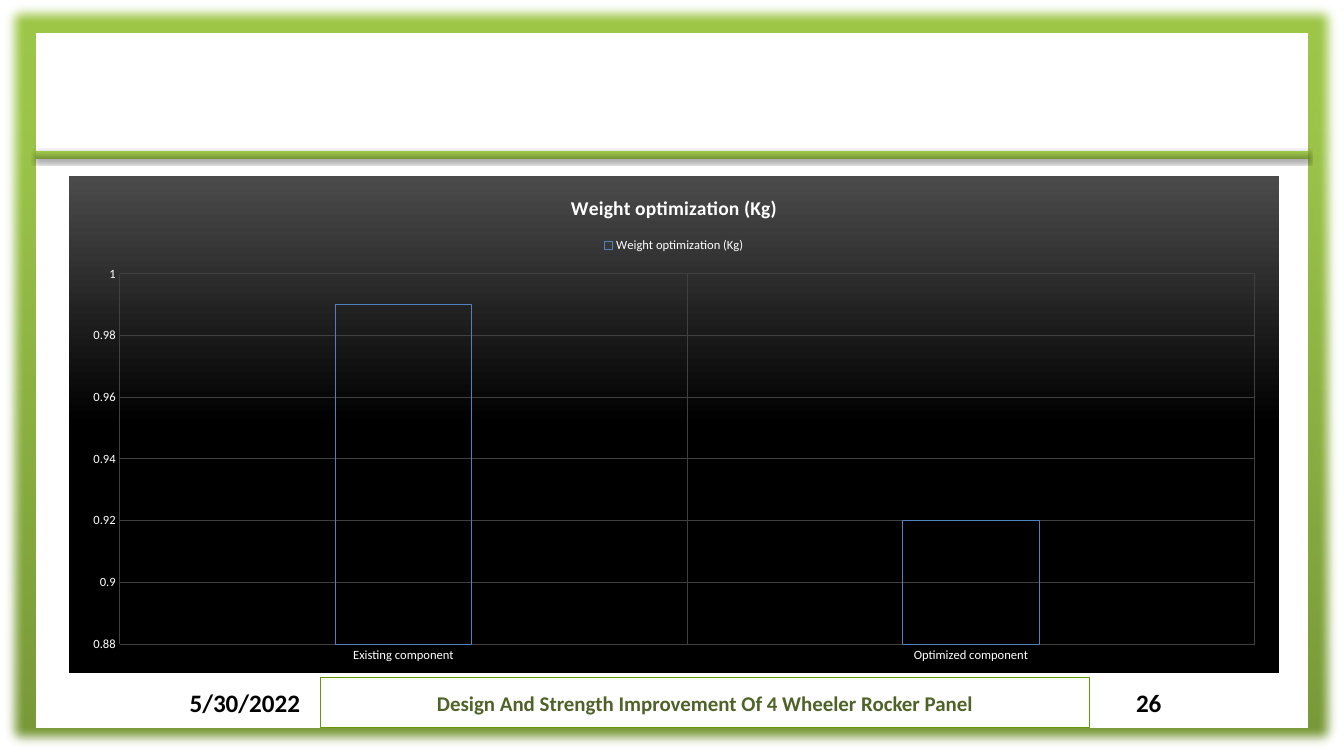
from dataclasses import dataclass

from pptx import Presentation
from pptx.chart.data import CategoryChartData
from pptx.dml.color import RGBColor
from pptx.enum.chart import XL_CHART_TYPE as ChartType
from pptx.enum.chart import XL_LEGEND_POSITION as LegendPosition
from pptx.enum.chart import XL_TICK_MARK as TickMark
from pptx.enum.shapes import MSO_SHAPE as Preset
from pptx.enum.text import MSO_ANCHOR as Anchor
from pptx.enum.text import PP_ALIGN as Align
from pptx.oxml import parse_xml
from pptx.oxml.ns import nsdecls, qn
from pptx.util import Inches, Pt


@dataclass(frozen=True)
class Theme:
    font: str = "Calibri"
    white: str = "FFFFFF"
    black: str = "000000"
    olive: str = "4F6228"
    border: str = "669900"
    bar: str = "4F81BD"
    grid: str = "404040"
    green_fade: tuple = ((0, "779737"), (80, "9BC348"), (100, "9DC746"))
    dark_fade: tuple = ((0, "4B4B4B"), (50, "000000"), (100, "000000"))
    heading: float = 14
    axis: float = 9
    chart: float = 10
    footer: float = 15
    stamp: float = 18
    hairline: float = 0.75


THEME = Theme()
WIDTH, HEIGHT = Inches(13.39), Inches(7.5)
SOFT_EDGE = '<a:softEdge %s rad="127000"/>' % nsdecls("a")
SHADOW = (
    '<a:outerShdw %s blurRad="40000" dist="23000" dir="5400000" rotWithShape="0">'
    '<a:srgbClr val="000000"><a:alpha val="35000"/></a:srgbClr></a:outerShdw>'
) % nsdecls("a")


def place(left, top, width, height):
    return [
        int(share * side / 100)
        for share, side in zip((left, top, width, height), (WIDTH, HEIGHT) * 2)
    ]


def apply(target, values):
    for name, value in values.items():
        setattr(target, name, value)


def style_font(font, size, color, bold=False):
    apply(font, {"name": THEME.font, "size": Pt(size), "bold": bold})
    font.color.rgb = RGBColor.from_string(color)


def style_line(line, color):
    line.color.rgb = RGBColor.from_string(color)
    line.width = Pt(THEME.hairline)


def fade_xml(stops, angle):
    marks = "".join(
        f'<a:gs pos="{share * 1000}"><a:srgbClr val="{color}"/></a:gs>'
        for share, color in stops
    )
    return (
        f'<a:gradFill {nsdecls("a")} rotWithShape="1"><a:gsLst>{marks}</a:gsLst>'
        f'<a:lin ang="{angle * 60000}" scaled="0"/></a:gradFill>'
    )


def add_box(page, area, fill=None, border=None):
    box = page.shapes.add_shape(Preset.RECTANGLE, *place(*area))
    box.shadow.inherit = False
    if fill:
        box.fill.solid()
        box.fill.fore_color.rgb = RGBColor.from_string(fill)
    else:
        box.fill.background()
    if border:
        style_line(box.line, border)
    else:
        box.line.fill.background()
    return box


def add_green_box(page, area, effect):
    box = add_box(page, area)
    properties = box.element.spPr
    properties.remove(properties.find(qn("a:noFill")))
    fade = parse_xml(fade_xml(THEME.green_fade, 270))
    properties.find(qn("a:prstGeom")).addnext(fade)
    properties.find(qn("a:effectLst")).append(parse_xml(effect))


def add_label(page, area, text, size, color, border=None):
    frame = add_box(page, area, border=border).text_frame
    apply(frame, {"word_wrap": True, "vertical_anchor": Anchor.MIDDLE})
    para = frame.paragraphs[0]
    para.alignment = Align.CENTER
    span = para.add_run()
    span.text = text
    style_font(span.font, size, color, bold=True)


def add_footer(page):
    cells = (
        (11.2, "5/30/2022", THEME.stamp, THEME.black, None),
        (57.28, "Design And Strength Improvement Of 4 Wheeler Rocker Panel",
         THEME.footer, THEME.olive, THEME.border),
        (8.74, "26", THEME.stamp, THEME.black, None),
    )
    left = 12.62
    for width, *label in cells:
        add_label(page, (left, 90, width, 6.67), *label)
        left += width


def style_axis(axis):
    apply(axis, {
        "has_major_gridlines": True,
        "major_tick_mark": TickMark.NONE,
        "minor_tick_mark": TickMark.NONE,
    })
    style_line(axis.major_gridlines.format.line, THEME.grid)
    axis.format.line.fill.background()
    style_font(axis.tick_labels.font, THEME.axis, THEME.white)


def add_weight_chart(page, area):
    title = "Weight optimization (Kg)"
    data = CategoryChartData()
    data.categories = ["Existing component", "Optimized component"]
    data.add_series(title, (0.99, 0.92))
    chart = page.shapes.add_chart(
        ChartType.COLUMN_CLUSTERED, *place(*area), data
    ).chart
    style_font(chart.font, THEME.chart, THEME.white)
    apply(chart, {"has_title": True, "has_legend": True})
    heading = chart.chart_title.text_frame
    heading.text = title
    style_font(heading.paragraphs[0].runs[0].font, THEME.heading, THEME.white, True)
    apply(chart.legend, {"position": LegendPosition.TOP, "include_in_layout": False})
    style_font(chart.legend.font, THEME.axis, THEME.white)
    for axis in (chart.category_axis, chart.value_axis):
        style_axis(axis)
    apply(chart.value_axis, {
        "minimum_scale": 0.88, "maximum_scale": 1, "major_unit": 0.02,
    })
    plot = chart.plots[0]
    apply(plot, {"gap_width": 315, "overlap": -40, "vary_by_categories": False})
    bars = plot.series[0]
    bars.format.fill.background()
    style_line(bars.format.line, THEME.bar)
    backdrop = parse_xml(
        f'<c:spPr {nsdecls("c", "a")}>{fade_xml(THEME.dark_fade, 90)}'
        "<a:ln><a:noFill/></a:ln></c:spPr>"
    )
    chart.element.find(qn("c:chart")).addnext(backdrop)


def main():
    deck = Presentation()
    apply(deck, {"slide_width": WIDTH, "slide_height": HEIGHT})
    page = deck.slides.add_slide(deck.slide_layouts[6])
    add_green_box(page, (0, 0, 100, 100), SOFT_EDGE)
    add_box(page, (2.69, 4.4, 94.62, 92.27), fill=THEME.white)
    add_green_box(page, (2.69, 20, 94.62, 1.07), SHADOW)
    add_footer(page)
    add_weight_chart(page, (5.15, 23.33, 90, 66))
    deck.save("out.pptx")


if __name__ == "__main__":
    main()
